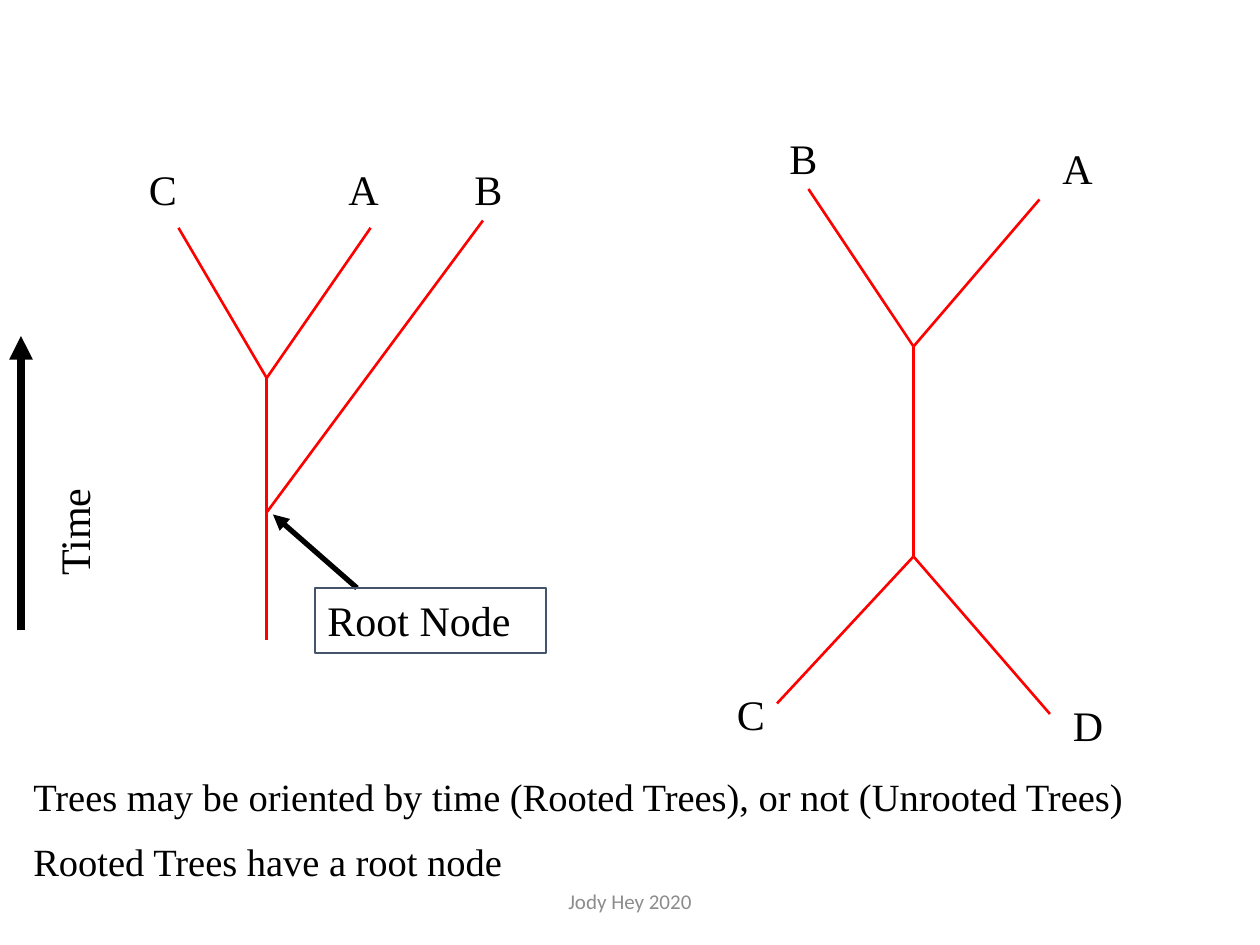
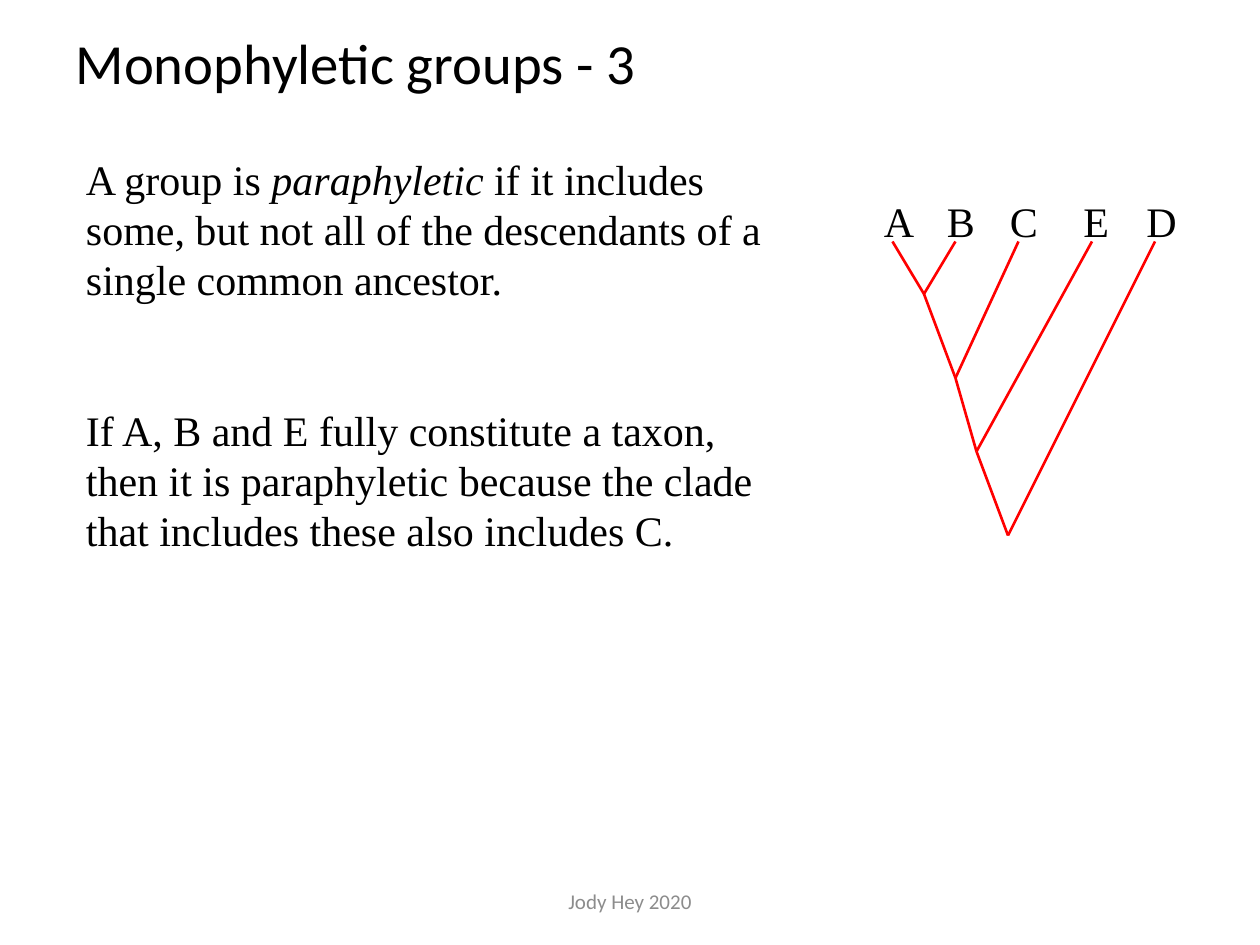
"""Build two slides on rooted, unrooted and paraphyletic trees."""
from lxml.etree import SubElement
from pptx import Presentation
from pptx.dml.color import RGBColor
from pptx.enum.shapes import MSO_CONNECTOR, MSO_SHAPE
from pptx.enum.text import MSO_ANCHOR, MSO_AUTO_SIZE, PP_ALIGN
from pptx.oxml.ns import qn
from pptx.util import Pt

PX = 7620
SERIF, SANS = "Times New Roman", "Calibri"
BLACK, RED, SLATE, GREY = "000000", "FF0000", "44546A", "8C8C8C"


def rgb(value):
    return RGBColor.from_string(value)


def put_text(sp, text, size=24, font=SERIF, color=BLACK, align=PP_ALIGN.LEFT,
             anchor=MSO_ANCHOR.TOP, wrap=True, line=None, gap=0):
    tf = sp.text_frame
    tf.word_wrap, tf.vertical_anchor = wrap, anchor
    tf.auto_size = MSO_AUTO_SIZE.NONE
    for i, part in enumerate(text.split("\n")):
        p = tf.add_paragraph() if i else tf.paragraphs[0]
        p.alignment = align
        p.space_before = Pt(gap if i else 0)
        if line:
            p.line_spacing = line
        for j, piece in enumerate(part.split("*")):
            r = p.add_run()
            r.text = piece
            r.font.size, r.font.name = Pt(size), font
            r.font.color.rgb = rgb(color)
            r.font.italic = j % 2 == 1


prs = Presentation()
prs.slide_width, prs.slide_height = 1200 * PX, 900 * PX
orient = prs.slides.add_slide(prs.slide_layouts[6])
groups = prs.slides.add_slide(prs.slide_layouts[5])

title = groups.shapes.title
title.left, title.top, title.width, title.height = 60 * PX, 36 * PX, 1080 * PX, 54 * PX
put_text(title, "Monophyletic groups - 3", size=32.4, font=SANS,
         anchor=MSO_ANCHOR.MIDDLE, line=0.9)

rooted = [(170, 217, 254, 360), (254, 360, 353, 217), (254, 360, 254, 488),
          (460, 210, 254, 488), (254, 488, 254, 610)]
unrooted = [(770, 180, 870, 330), (870, 330, 990, 190), (870, 330, 870, 530),
            (870, 530, 740, 670), (870, 530, 1000, 680)]
trunk = [(850, 230), (880, 280), (910, 360), (930, 430), (960, 510)]
tips = [910, 970, 1040, 1100]
ladder = [a + b for a, b in zip(trunk, trunk[1:])]
ladder += [(x, 230) + node for x, node in zip(tips, trunk[1:])]

strokes = [
    (orient.shapes.add_group_shape(), rooted, RED, 1.5, False),
    (orient.shapes.add_group_shape(), unrooted, RED, 1.5, False),
    (orient, [(20, 600, 20, 320)], BLACK, 4.5, True),
    (orient, [(340, 560, 260, 490)], BLACK, 3, True),
    (groups.shapes.add_group_shape(), ladder, RED, 1.5, False),
]
for parent, segments, color, width, arrow in strokes:
    for segment in segments:
        cx = parent.shapes.add_connector(MSO_CONNECTOR.STRAIGHT, *[v * PX for v in segment])
        cx.line.color.rgb = rgb(color)
        cx.line.width = Pt(width)
        if arrow:
            SubElement(cx.line._get_or_add_ln(), qn("a:tailEnd"), type="triangle")
        SubElement(cx._element.spPr, qn("a:effectLst"))

labels = [(orient, "C", 130, 150), (orient, "A", 320, 150), (orient, "B", 440, 150),
          (orient, "D", 1010, 660), (orient, "C", 690, 650),
          (orient, "A", 1000, 130), (orient, "B", 740, 120)]
labels += [(groups, name, x, 180) for name, x in zip("ABCED", [830, 890, 950, 1020, 1080])]
for slide, name, x, y in labels:
    sp = slide.shapes.add_textbox(x * PX, y * PX, 52 * PX, 60 * PX)
    put_text(sp, name, wrap=False)

sp = orient.shapes.add_textbox(20 * PX, 730 * PX, 1120 * PX, 122 * PX)
put_text(sp, "Trees may be oriented by time (Rooted Trees), or not (Unrooted Trees)\n"
             "Rooted Trees have a root node", size=22, gap=11)

sp = orient.shapes.add_textbox(-10 * PX, 450 * PX, 160 * PX, 60 * PX)
sp.rotation = 270
put_text(sp, "Time")

sp = orient.shapes.add_shape(MSO_SHAPE.RECTANGLE, 300 * PX, 560 * PX, 220 * PX, 62 * PX)
sp.shadow.inherit = False
sp.fill.background()
sp.line.color.rgb = rgb(SLATE)
sp.line.width = Pt(1.5)
put_text(sp, "Root Node")

sp = groups.shapes.add_textbox(70 * PX, 140 * PX, 700 * PX, 539 * PX)
put_text(sp, "A group is *paraphyletic* if it includes some, but not all of the "
             "descendants of a single common ancestor.\n"
             "If A, B and E fully constitute a taxon, then it is paraphyletic "
             "because the clade that includes these also includes C.",
         line=Pt(28.7), gap=57.4)

for slide in prs.slides:
    sp = slide.shapes.add_textbox(397 * PX, 834 * PX, 406 * PX, 48 * PX)
    put_text(sp, "Jody Hey 2020", size=12, font=SANS, color=GREY,
             align=PP_ALIGN.CENTER, anchor=MSO_ANCHOR.MIDDLE)

prs.save("out.pptx")
